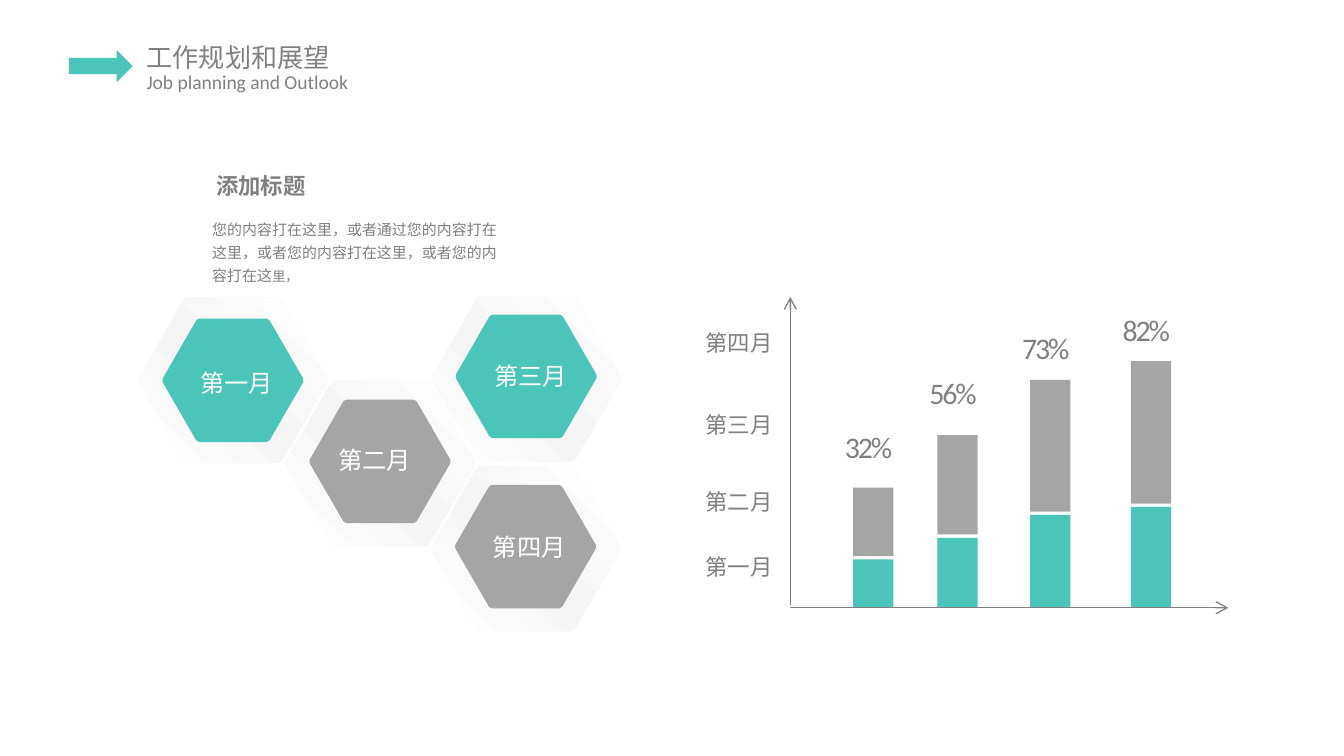
import copy
import math

import pptx
import pptx.dml.color
import pptx.enum.shapes
import pptx.enum.text
import pptx.oxml.ns
import pptx.util
from lxml import etree

Pt = pptx.util.Pt
qn = pptx.oxml.ns.qn

TEAL, SILVER, GRAY, WHITE = "4BC5B9", "A5A5A5", "808080", "FFFFFF"
LATIN, CHINESE = "Calibri", "Noto Sans CJK SC"


def color(hex_string):
    return pptx.dml.color.RGBColor.from_string(hex_string)


def rounded_hexagon(center_x, center_y, radius, steps=6):
    """Points of a flat-topped hexagon whose corners are quadratic curves."""
    corners = [(center_x + radius * math.cos(math.radians(60 * i)),
                center_y + radius * math.sin(math.radians(60 * i))) for i in range(6)]
    cut = 0.05
    points = []
    for i, corner in enumerate(corners):
        before, after = corners[i - 1], corners[(i + 1) % 6]
        start = [c + cut * (b - c) for c, b in zip(corner, before)]
        end = [c + cut * (a - c) for c, a in zip(corner, after)]
        for step in range(steps + 1):
            t = step / steps
            points.append(tuple((1 - t) ** 2 * s + 2 * t * (1 - t) * c + t * t * e
                                for s, c, e in zip(start, corner, end)))
    return points


class SlideBuilder:
    def __init__(self, slide):
        self.slide = slide
        self.shapes = slide.shapes

    def finish(self, shape, fill):
        shape.shadow.inherit = False
        shape.line.fill.background()
        if fill:
            shape.fill.solid()
            shape.fill.fore_color.rgb = color(fill)
        return shape

    def preset(self, kind, left, top, width, height, fill):
        shape = self.shapes.add_shape(kind, Pt(left), Pt(top), Pt(width), Pt(height))
        return self.finish(shape, fill)

    def hexagon(self, center_x, center_y, radius, fill=None):
        """Draw a rounded hexagon; without a fill it gets the pale gradient."""
        points = [(Pt(x), Pt(y)) for x, y in rounded_hexagon(center_x, center_y, radius)]
        builder = self.shapes.build_freeform(*points[0])
        builder.add_line_segments(points[1:], close=True)
        shape = self.finish(builder.convert_to_shape(), fill)
        if not fill:
            shape.fill.gradient()
            shape.fill.gradient_angle = 45
            stops = shape._element.spPr.find(".//" + qn("a:gsLst"))
            stops.insert(1, copy.deepcopy(stops[0]))
            pale = [(0, WHITE), (0.47, "F5F5F5"), (1, WHITE)]
            for stop, (position, hex_string) in zip(shape.fill.gradient_stops, pale):
                stop.position = position
                stop.color.rgb = color(hex_string)

    def text(self, words, left, top, width, height, size, font=CHINESE, fill=GRAY,
             inset=(7.2, 3.6), wrap=True, bold=False, line_spacing=None, tracking=None):
        box = self.shapes.add_textbox(Pt(left), Pt(top), Pt(width), Pt(height))
        frame = box.text_frame
        frame.text = words
        frame.word_wrap = wrap
        frame.auto_size = pptx.enum.text.MSO_AUTO_SIZE.SHAPE_TO_FIT_TEXT
        frame.margin_left = frame.margin_right = Pt(inset[0])
        frame.margin_top = frame.margin_bottom = Pt(inset[1])
        paragraph = frame.paragraphs[0]
        if line_spacing:
            paragraph.line_spacing = line_spacing
        self.style(paragraph.runs[0], size, font, fill, bold, tracking)
        return paragraph

    def style(self, run, size, font=CHINESE, fill=GRAY, bold=False, tracking=None):
        run.font.size = Pt(size)
        run.font.bold = bold
        run.font.color.rgb = color(fill)
        run.font.name = font
        properties = run.font._element
        etree.SubElement(properties, qn("a:ea")).set("typeface", font)
        if tracking:
            properties.set("spc", str(round(tracking * 100)))

    def arrow(self, x1, y1, x2, y2):
        connector = self.shapes.add_connector(
            pptx.enum.shapes.MSO_CONNECTOR.STRAIGHT, Pt(x1), Pt(y1), Pt(x2), Pt(y2))
        connector.line.color.rgb = color(GRAY)
        connector.line.width = Pt(0.75)
        etree.SubElement(connector.line._get_or_add_ln(), qn("a:tailEnd")).set("type", "arrow")
        etree.SubElement(connector._element.spPr, qn("a:effectLst"))


def add_header(builder):
    builder.text("工作规划和展望", 70.6, 18.7, 114.5, 24.5, 14, inset=(7.9, 3.6), wrap=False)
    builder.text("Job planning and Outlook", 70.6, 33.8, 124.6, 20.2, 10.5, LATIN,
                 inset=(7.9, 3.6), wrap=False)
    builder.preset(pptx.enum.shapes.MSO_SHAPE.RIGHT_ARROW, 36.9, 26.8, 34.2, 17.2, TEAL)


def add_bars(builder):
    baseline, bar_width, gap = 325.6, 21.6, 1.8
    bars = [  # center, lower height, upper height, label, label top
        (467.8, 25.9, 36.7, "32%", 226.8),
        (513, 37.4, 53.3, "56%", 198),
        (562.7, 49.7, 70.6, "73%", 173.5),
        (616.6, 54, 76.3, "82%", 164.2),
    ]
    rectangle = pptx.enum.shapes.MSO_SHAPE.RECTANGLE
    for center, lower, upper, label, label_top in bars:
        left = center - bar_width / 2
        builder.preset(rectangle, left, baseline - lower, bar_width, lower, TEAL)
        builder.preset(rectangle, left, baseline - lower - gap - upper, bar_width, upper, SILVER)
        builder.text(label, center - 21, label_top, 39.6, 25.2, 16, LATIN,
                     inset=(5.8, 2.9), tracking=-1.1)


def add_hexagons(builder):
    hexagons = [  # center x, center y, inner center y, fill, label, label left, label top
        (124.8, 203.8, 203.8, TEAL, "第一月", 100.1, 193.7),
        (203.6, 248.4, 247.2, SILVER, "第二月", 174.2, 234.7),
        (281.9, 203, 201.7, TEAL, "第三月", 257.8, 190.1),
        (281.6, 294.1, 292.9, SILVER, "第四月", 257, 281.5),
    ]
    for x, y, inner_y, fill, label, label_left, label_top in hexagons:
        builder.hexagon(x, y, 51.8, WHITE)
        builder.hexagon(x, y, 51.2)
        builder.hexagon(x, inner_y, 38.2, fill)
        builder.text(label, label_left, label_top, 62.6, 23, 13, fill=WHITE)


def add_axes(builder):
    builder.arrow(423.4, 325.6, 658.1, 325.6)
    builder.arrow(423.4, 324, 423.4, 159.1)
    for label, top in [("第四月", 172.8), ("第三月", 216.7), ("第二月", 257.8), ("第一月", 293)]:
        builder.text(label, 370.8, top, 52.6, 22.3, 12)


def add_description(builder):
    paragraph = builder.text(
        "您的内容打在这里，或者通过您的内容打在这里，或者您的内容打在这里，或者您的内容打在这",
        106.6, 111.6, 172.1, 45.4, 8, line_spacing=1.3)
    ending = paragraph.add_run()
    ending.text = "里，"
    builder.style(ending, 7, fill="7F7F7F")
    builder.text("添加标题", 108.7, 85, 74.9, 21.6, 12, inset=(7.2, 0), bold=True,
                 line_spacing=1.5)


def main():
    presentation = pptx.Presentation()
    presentation.slide_width, presentation.slide_height = Pt(720), Pt(405)
    builder = SlideBuilder(presentation.slides.add_slide(presentation.slide_layouts[6]))
    add_header(builder)
    add_bars(builder)
    add_hexagons(builder)
    add_axes(builder)
    add_description(builder)
    presentation.save("out.pptx")


if __name__ == "__main__":
    main()
